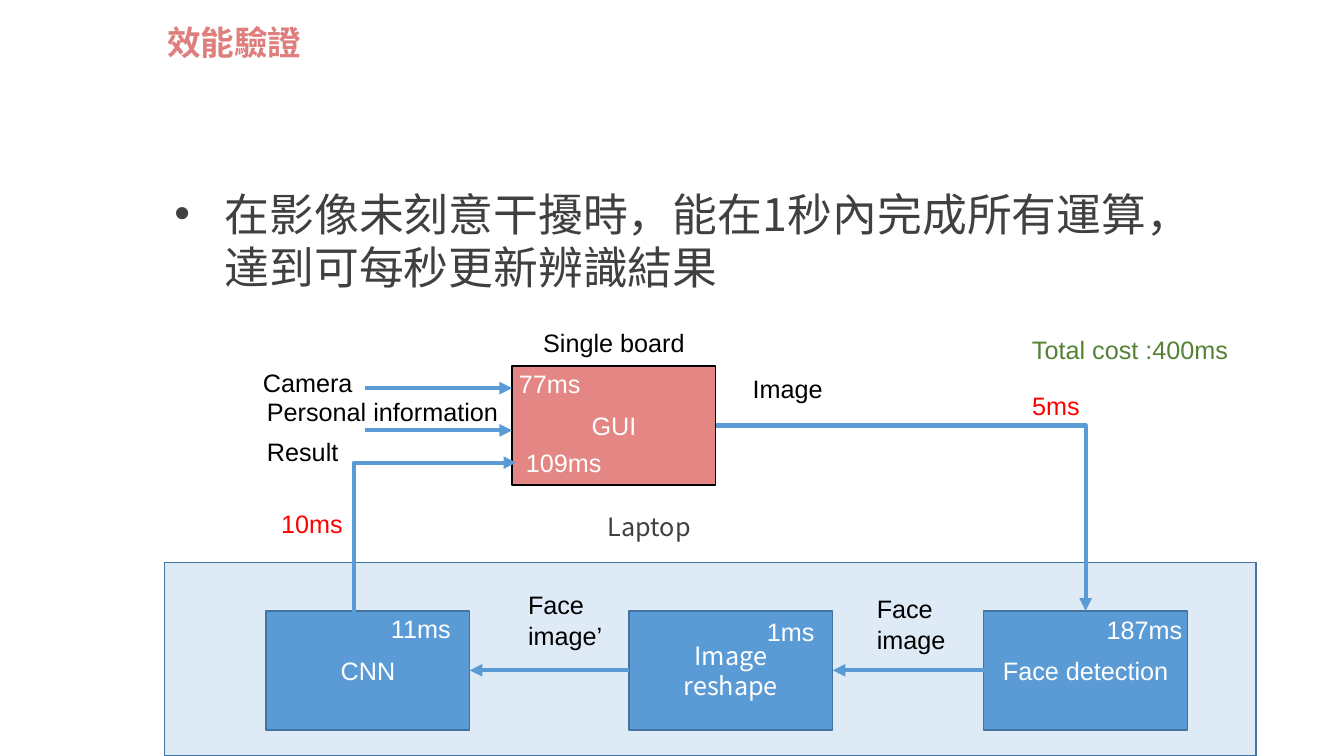
from dataclasses import dataclass

from lxml.etree import SubElement
from pptx import Presentation
from pptx.dml.color import RGBColor
from pptx.enum.shapes import MSO_CONNECTOR, MSO_SHAPE
from pptx.enum.text import MSO_ANCHOR, MSO_AUTO_SIZE, PP_ALIGN
from pptx.oxml.ns import qn
from pptx.shapes.autoshape import Shape
from pptx.shapes.connector import Connector
from pptx.slide import Slide
from pptx.text.text import TextFrame
from pptx.util import Pt

COLORS = {
    "title": "DE7F7E", "body": "404040", "black": "000000", "white": "FFFFFF",
    "red": "FF0000", "green": "548235", "panel": "DEEBF7", "gui": "E48684",
    "blue": "5B9BD5", "border": "43739E",
}
LATIN, CJK = "Arial", "Noto Sans CJK SC"
BOX_WIDTH, BOX_HEIGHT = 145.5, 85
STAGE_TOP = 436.3


@dataclass
class Block:
    text: str
    left: float
    top: float
    width: float = BOX_WIDTH
    height: float = BOX_HEIGHT
    fill: str = "blue"
    border: str = "border"
    font: str = LATIN


@dataclass
class Label:
    text: str
    left: float
    top: float
    width: float
    color: str = "black"
    font: str = LATIN
    size: float = 18
    height: float = 28.8
    bold: bool = False
    wrap: bool = False
    bullet: bool = False


PANEL = Block("", 117.4, 401.8, 779.8, 138.2, "panel")
GUI = Block("GUI", 365.8, 261.4, fill="gui", border="black")
DETECTION = Block("Face detection", 702.7, STAGE_TOP)
RESHAPE = Block("Image\nreshape", 449.3, STAGE_TOP, font=CJK)
CNN = Block("CNN", 190.1, STAGE_TOP)

LABELS = [
    Label("效能驗證", 112.3, 12.2, 111.6, "title", size=24, height=36, bold=True),
    Label("在影像未刻意干擾時，能在1秒內完成所有運算，達到可每秒更新辨識結果",
          117.4, 129.6, 741.6, "body", CJK, 32, 85, wrap=True, bullet=True),
    Label("Camera", 180.7, 258.5, 79.2),
    Label("Personal information", 183.6, 279.4, 182.9),
    Label("Result", 183.6, 308.2, 66.2),
    Label("Image", 530.6, 262.8, 64.8),
    Label("Face\nimage", 619.2, 420.5, 64.1, height=51),
    Label("Face\nimage’", 370.1, 417.6, 68.4, height=51),
    Label("Laptop", 427, 361.4, 74.9, "body", CJK),
    Label("Single board", 380.9, 230.4, 119.5),
    Label("11ms", 272.2, 434.2, 57.6, "white"),
    Label("187ms", 783.4, 435.6, 69.1, "white"),
    Label("1ms", 540.7, 437, 49, "white"),
    Label("77ms", 363.6, 259.9, 59, "white"),
    Label("109ms", 368.6, 316.1, 69.1, "white"),
    Label("5ms", 730.1, 275, 49, "red"),
    Label("10ms", 193.7, 359.3, 59, "red"),
    Label("Total cost :400ms", 730.1, 235.4, 156.2, "green"),
]


def rgb(name: str) -> RGBColor:
    return RGBColor.from_string(COLORS[name])


def write_text(frame: TextFrame, text: str, font: str, color: str, size: float = 18,
               bold: bool = False, bullet: bool = False,
               align: PP_ALIGN = PP_ALIGN.LEFT) -> None:
    frame.text = text
    for para in frame.paragraphs:
        para.alignment = align
        properties = para._p.get_or_add_pPr()
        if bullet:
            properties.set("marL", str(Pt(36)))
            properties.set("indent", str(-Pt(36)))
            SubElement(properties, qn("a:buFont"), typeface="Arial")
            SubElement(properties, qn("a:buChar"), char="•")
        para.font.size = Pt(size)
        para.font.bold = bold
        para.font.color.rgb = rgb(color)
        para.font.name = font
        SubElement(properties.find(qn("a:defRPr")), qn("a:ea"), typeface=font)


def draw_block(page: Slide, block: Block) -> Shape:
    box = page.shapes.add_shape(MSO_SHAPE.RECTANGLE, Pt(block.left), Pt(block.top),
                                Pt(block.width), Pt(block.height))
    box.shadow.inherit = False
    box.fill.solid()
    box.fill.fore_color.rgb = rgb(block.fill)
    box.line.color.rgb = rgb(block.border)
    box.line.width = Pt(1)
    if block.text:
        box.text_frame.vertical_anchor = MSO_ANCHOR.MIDDLE
        write_text(box.text_frame, block.text, block.font, "white", align=PP_ALIGN.CENTER)
    return box


def draw_label(page: Slide, label: Label) -> None:
    box = page.shapes.add_textbox(Pt(label.left), Pt(label.top),
                                  Pt(label.width), Pt(label.height))
    box.text_frame.word_wrap = label.wrap
    box.text_frame.auto_size = MSO_AUTO_SIZE.SHAPE_TO_FIT_TEXT
    write_text(box.text_frame, label.text, label.font, label.color,
               label.size, label.bold, label.bullet)


def draw_arrow(page: Slide, x1: float, y1: float, x2: float, y2: float,
               kind: MSO_CONNECTOR = MSO_CONNECTOR.STRAIGHT) -> Connector:
    arrow = page.shapes.add_connector(kind, Pt(x1), Pt(y1), Pt(x2), Pt(y2))
    arrow.line.color.rgb = rgb("blue")
    arrow.line.width = Pt(3)
    SubElement(arrow.line._get_or_add_ln(), qn("a:tailEnd"), type="triangle")
    SubElement(arrow._element.spPr, qn("a:effectLst"))
    return arrow


def draw_corner_arrow(page: Slide, x1: float, y1: float, x2: float, y2: float,
                      rotation: int = 0) -> None:
    """Draw an arrow with a single right-angle bend."""
    arrow = draw_arrow(page, x1, y1, x2, y2, MSO_CONNECTOR.ELBOW)
    properties = arrow._element.spPr
    properties.find(qn("a:prstGeom")).set("prst", "bentConnector2")
    if rotation:
        properties.find(qn("a:xfrm")).set("rot", str(rotation * 60000))


def join_stages(page: Slide, source: Shape, target: Shape) -> None:
    arrow = draw_arrow(page, 0, 0, 0, 0)
    arrow.begin_connect(source, 1)
    arrow.end_connect(target, 3)


def main() -> None:
    deck = Presentation()
    deck.slide_width, deck.slide_height = Pt(960), Pt(540)
    page = deck.slides.add_slide(deck.slide_layouts[6])

    # Laptop panel and processing blocks
    draw_block(page, PANEL)
    draw_block(page, GUI)
    detection, reshape, cnn = [draw_block(page, b) for b in (DETECTION, RESHAPE, CNN)]

    # Inputs to the GUI
    for y in (277.2, 307.4):
        draw_arrow(page, 260.6, y, GUI.left, y)

    # Flow through the stages and back to the GUI
    join_stages(page, detection, reshape)
    join_stages(page, reshape, cnn)
    draw_corner_arrow(page, 377.3, 455, 244.1, 339.1, rotation=90)
    draw_corner_arrow(page, GUI.left + BOX_WIDTH, GUI.top + BOX_HEIGHT / 2,
                      DETECTION.left + BOX_WIDTH / 2, STAGE_TOP)

    # Title, statement, names and timings
    for label in LABELS:
        draw_label(page, label)

    deck.save("out.pptx")


if __name__ == "__main__":
    main()
